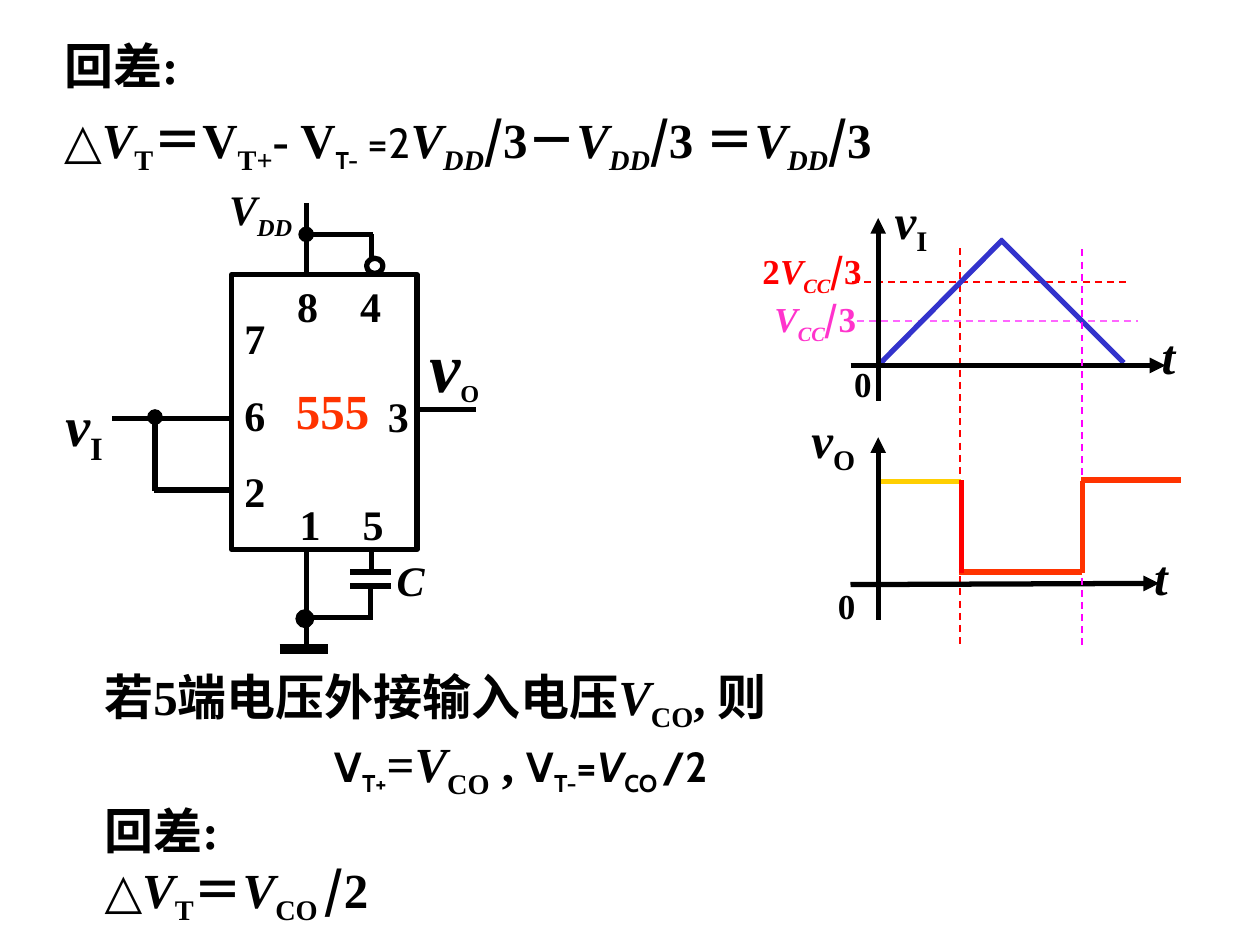
from dataclasses import dataclass

from lxml.etree import SubElement
from pptx import Presentation
from pptx.dml.color import RGBColor
from pptx.enum.dml import MSO_LINE
from pptx.enum.shapes import MSO_CONNECTOR, MSO_SHAPE
from pptx.enum.text import MSO_ANCHOR, MSO_AUTO_SIZE, PP_ALIGN
from pptx.oxml.ns import qn
from pptx.util import Inches, Pt

BLACK = RGBColor(0x00, 0x00, 0x00)
WHITE = RGBColor(0xFF, 0xFF, 0xFF)
RED = RGBColor(0xFF, 0x00, 0x00)
ORANGE = RGBColor(0xFF, 0x33, 0x00)
YELLOW = RGBColor(0xFF, 0xCF, 0x01)
BLUE = RGBColor(0x33, 0x33, 0xCC)
PINK = RGBColor(0xFF, 0x33, 0xCC)
LIGHT_PINK = RGBColor(0xFF, 0x66, 0xFF)
MAGENTA = RGBColor(0xFF, 0x00, 0xFF)
TIMES, CABIN, CJK = "Times New Roman", "Cabin", "Noto Sans CJK SC"


@dataclass(frozen=True)
class Span:
    text: str
    size: float = 28
    italic: bool = False
    sub: bool = False
    font: str = TIMES
    bold: bool = True


@dataclass(frozen=True)
class Wire:
    x1: float
    y1: float
    x2: float
    y2: float
    color: RGBColor = BLACK
    width: float = 3
    dashed: bool = False
    head: str = ""
    tail: str = ""


@dataclass(frozen=True)
class Label:
    left: float
    top: float
    width: float
    height: float
    spans: list[Span]
    color: RGBColor = BLACK
    margins: tuple[float, float] = (0.1, 0.05)
    align: PP_ALIGN = PP_ALIGN.LEFT
    line_spacing: float = 1.0
    wrap: bool = True


def symbol(name: str, sub: str, size: float = 28, sub_size: float = 0,
           sub_italic: bool = False, font: str = TIMES, italic: bool = True) -> list[Span]:
    """A quantity with its subscript."""
    return [Span(name, size, italic, font=font),
            Span(sub, sub_size or size, sub_italic, True, font)]


def fraction(sub: str, divisor: str, size: float = 28) -> list[Span]:
    """A voltage divided by a number."""
    return symbol("V", sub, size, sub_italic=True) + [Span("/", size, font=CJK), Span(divisor, size)]


def write(box, paragraphs: list[list[Span]], *, color=BLACK, margins=(0, 0),
          aligns=(PP_ALIGN.LEFT,), space_before=0, line_spacing=1.0, wrap=True) -> None:
    frame = box.text_frame
    frame.word_wrap = wrap
    frame.auto_size = MSO_AUTO_SIZE.NONE
    frame.vertical_anchor = MSO_ANCHOR.TOP
    frame.margin_left = frame.margin_right = Inches(margins[0])
    frame.margin_top = frame.margin_bottom = Inches(margins[1])
    for index, spans in enumerate(paragraphs):
        para = frame.add_paragraph() if index else frame.paragraphs[0]
        para.alignment = aligns[index % len(aligns)]
        para.space_before = Pt(space_before if index else 0)
        para.line_spacing = line_spacing
        for span in spans:
            run = para.add_run()
            run.text = span.text
            font = run.font
            font.name, font.size = span.font, Pt(span.size)
            font.bold, font.italic = span.bold, span.italic
            font.color.rgb = color
            properties = run._r.get_or_add_rPr()
            if span.sub:
                properties.set("baseline", "-25000")
            SubElement(properties, qn("a:ea")).set("typeface", CJK)


def draw_label(page, label: Label) -> None:
    box = page.shapes.add_textbox(*map(Inches, (label.left, label.top, label.width, label.height)))
    write(box, [label.spans], color=label.color, margins=label.margins, aligns=(label.align,),
          line_spacing=label.line_spacing, wrap=label.wrap)


def draw_wire(page, wire: Wire) -> None:
    line = page.shapes.add_connector(
        MSO_CONNECTOR.STRAIGHT, *map(Inches, (wire.x1, wire.y1, wire.x2, wire.y2)))
    line.line.color.rgb = wire.color
    line.line.width = Pt(wire.width)
    if wire.dashed:
        line.line.dash_style = MSO_LINE.DASH
    outline = line.line._get_or_add_ln()
    for tag, kind in (("a:headEnd", wire.head), ("a:tailEnd", wire.tail)):
        if kind:
            SubElement(outline, qn(tag)).set("type", kind)
    SubElement(line._element.spPr, qn("a:effectLst"))


def draw_shape(page, kind, left, top, width, height, *, fill=None, line_width=3.0) -> None:
    shape = page.shapes.add_shape(kind, *map(Inches, (left, top, width, height)))
    shape.shadow.inherit = False
    if fill is None:
        shape.fill.background()
    else:
        shape.fill.solid()
        shape.fill.fore_color.rgb = fill
    shape.line.color.rgb = BLACK
    shape.line.width = Pt(line_width)


def draw_circuit(page) -> None:
    draw_shape(page, MSO_SHAPE.RECTANGLE, 1.84, 2.18, 1.47, 2.18)
    # Pin numbers
    for number, left, top in (("8", 2.26, 2.18), ("4", 2.76, 2.18), ("1", 2.28, 3.91),
                              ("5", 2.78, 3.91), ("3", 2.98, 3.05)):
        draw_label(page, Label(left, top, 0.39, 0.5, [Span(number, 24)]))
    left_pins = page.shapes.add_textbox(*map(Inches, (1.84, 2.43, 0.39, 1.72)))
    write(left_pins, [[Span(number, 24)] for number in "762"], margins=(0.1, 0.05), space_before=15)
    # Wiring, capacitor plates and ground
    for wire in (
        Wire(2.78, 4.54, 3.1, 4.54), Wire(2.78, 4.65, 3.1, 4.65),
        Wire(2.43, 1.61, 2.43, 2.16), Wire(2.95, 1.86, 2.95, 2.16),
        Wire(1.23, 3.31, 1.23, 3.9, head="oval"), Wire(2.94, 4.64, 2.94, 4.92),
        Wire(2.43, 4.37, 2.43, 5.11), Wire(2.95, 4.37, 2.95, 4.56),
        Wire(2.22, 5.15, 2.6, 5.15, width=6), Wire(0.89, 3.32, 1.84, 3.32),
        Wire(1.22, 3.89, 1.84, 3.89), Wire(3.31, 3.25, 3.78, 3.25),
        Wire(2.43, 1.86, 2.96, 1.86, head="oval"), Wire(2.43, 4.9, 2.96, 4.9),
    ):
        draw_wire(page, wire)
    draw_shape(page, MSO_SHAPE.OVAL, 2.35, 4.84, 0.14, 0.14, fill=BLACK, line_width=0.75)
    draw_shape(page, MSO_SHAPE.OVAL, 2.91, 2.05, 0.13, 0.12, fill=WHITE)
    # Component and signal names
    for label in (
        Label(3.05, 4.35, 0.7, 0.5, [Span("C", 24, True)]),
        Label(2.25, 2.97, 0.97, 0.57, [Span("555")], ORANGE),
        Label(3.31, 2.51, 0.67, 0.78, symbol("v", "O", 40, 24)),
        Label(1.72, 1.41, 0.8, 0.56, symbol("V", "DD", 24, sub_italic=True)),
        Label(0.42, 3.05, 0.67, 0.71, symbol("v", "I", 32)),
    ):
        draw_label(page, label)


def draw_waveforms(page) -> None:
    for wire in (
        # Switching instants and thresholds
        Wire(7.62, 1.97, 7.62, 5.15, RED, 1, True),
        Wire(6.76, 2.24, 8.95, 2.24, RED, 1, True),
        Wire(6.8, 2.55, 9.03, 2.55, LIGHT_PINK, 1, True),
        # Output: high, low, high
        Wire(6.97, 3.82, 7.63, 3.82, YELLOW),
        Wire(7.61, 4.54, 8.59, 4.54, ORANGE), Wire(7.63, 4.55, 7.63, 3.81, RED),
        # Input triangle
        Wire(6.98, 2.89, 7.96, 1.9, BLUE), Wire(8.92, 2.88, 7.94, 1.9, BLUE),
        # Axes
        Wire(6.75, 4.64, 9.2, 4.63, tail="triangle"), Wire(6.97, 4.92, 6.97, 3.47, tail="triangle"),
        Wire(6.75, 2.9, 9.25, 2.9, tail="triangle"), Wire(6.97, 3.18, 6.97, 1.73, tail="triangle"),
        # Second switching instant and output rise
        Wire(8.59, 1.98, 8.59, 5.14, MAGENTA, 1, True),
        Wire(8.58, 3.81, 9.37, 3.81, ORANGE), Wire(8.59, 4.55, 8.59, 3.82, ORANGE),
    ):
        draw_wire(page, wire)
    flush, center = (0, 0), PP_ALIGN.CENTER
    for label in (
        Label(6.65, 4.64, 0.44, 0.33, [Span("0", 20)], margins=flush),
        Label(6.78, 2.88, 0.44, 0.33, [Span("0", 20)], margins=flush),
        Label(9.16, 4.34, 0.51, 0.47, [Span("t", italic=True)], margins=flush),
        Label(9.22, 2.58, 0.51, 0.47, [Span("t", italic=True)], margins=flush),
        Label(6.44, 3.25, 0.57, 0.53, symbol("v", "O"), margins=flush),
        Label(7.1, 1.56, 0.57, 0.43, symbol("v", "I"), margins=flush, line_spacing=0.8),
        Label(6.02, 1.98, 0.85, 0.38, [Span("2", 20)] + fraction("CC", "3", 20), RED, flush, center),
        Label(6.14, 2.36, 0.66, 0.38, fraction("CC", "3", 20), PINK, flush, center, wrap=False),
    ):
        draw_label(page, label)


def main() -> None:
    deck = Presentation()
    deck.slide_width, deck.slide_height = Inches(10), Inches(7.5)
    page = deck.slides.add_slide(deck.slide_layouts[5])

    # Hysteresis formula
    title = page.shapes.title
    title.left, title.top, title.width, title.height = map(Inches, (0.51, 0.28, 8.92, 1.12))
    delta = [Span("△")] + symbol("V", "T")
    write(title, [
        [Span("回差:")],
        [*delta, *symbol("＝V", "T+", italic=False), Span("- V"),
         Span("T-", 24, sub=True, font=CABIN), Span(" =2", 24, font=CABIN, bold=False),
         *fraction("DD", "3－"), *fraction("DD", "3 ＝"), *fraction("DD", "3")],
    ], space_before=8.8)

    draw_circuit(page)
    draw_waveforms(page)

    # Case of an external control voltage
    control = symbol("V", "CO")
    notes = page.shapes.add_textbox(*map(Inches, (0.83, 5.29, 6.69, 2.06)))
    write(notes, [
        [Span("若5端电压外接输入电压"), *control, Span(", 则")],
        [*symbol("V", "T+", 24, font=CABIN, italic=False), Span("=", bold=True), *control, Span(" , "),
         *symbol("V", "T-", 24, font=CABIN, italic=False), Span("=", 24, font=CABIN),
         *symbol("V", "CO ", 24, font=CABIN), Span("/2 ", 24, font=CABIN)],
        [Span("回差:")],
        [*delta, Span("＝"), *symbol("V", "CO "), Span("/", font=CJK), Span("2")],
    ], aligns=(PP_ALIGN.LEFT, PP_ALIGN.CENTER, PP_ALIGN.LEFT, PP_ALIGN.LEFT))

    deck.save("out.pptx")


if __name__ == "__main__":
    main()
